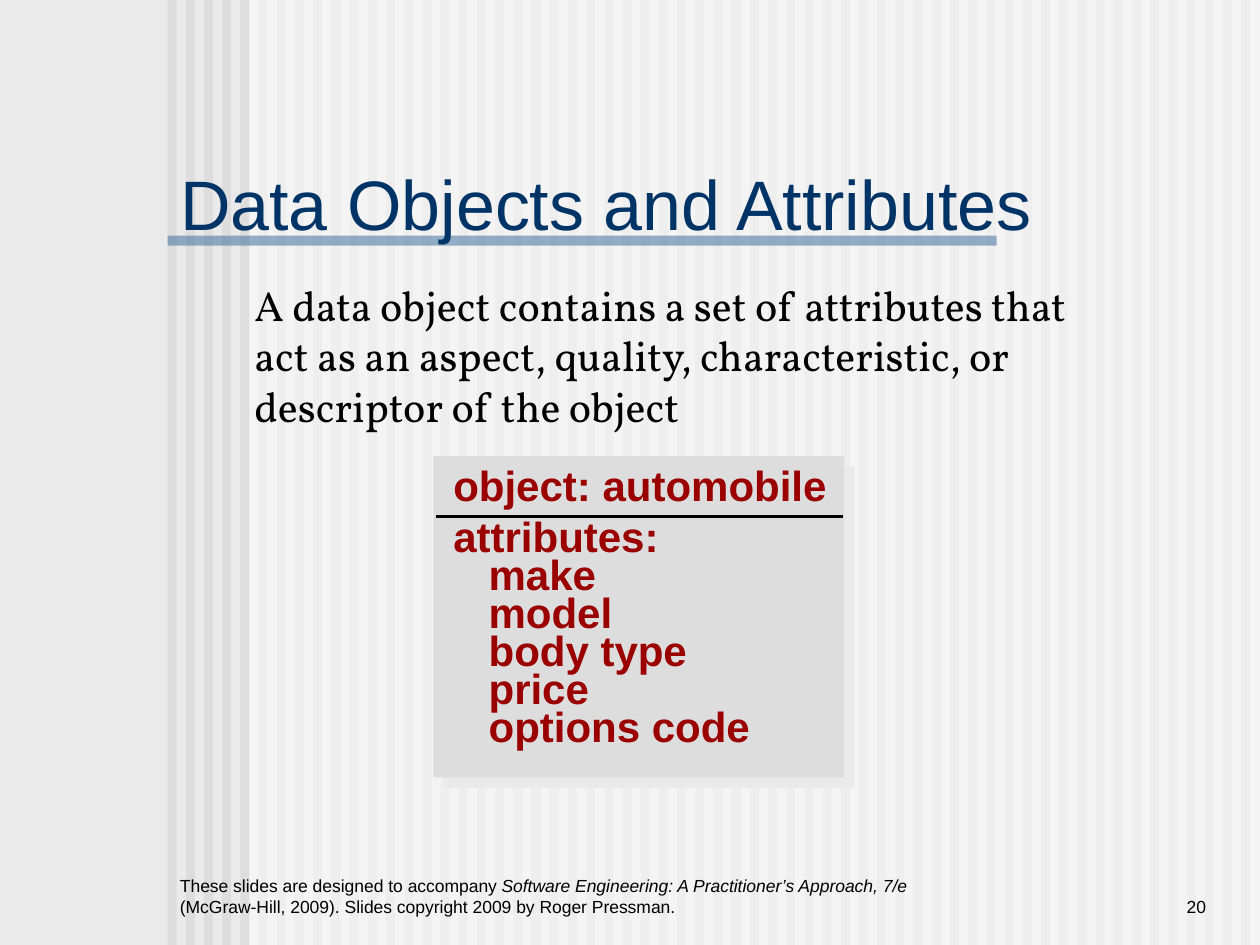
from dataclasses import dataclass

from lxml import etree
from pptx import Presentation
from pptx.dml.color import RGBColor
from pptx.enum.shapes import MSO_CONNECTOR, MSO_SHAPE
from pptx.enum.text import MSO_ANCHOR, MSO_AUTO_SIZE, PP_ALIGN
from pptx.oxml import parse_xml
from pptx.oxml.ns import nsdecls, qn
from pptx.util import Inches, Pt


@dataclass(frozen=True)
class Theme:
    background: str = "EAEAEA"
    stripe: str = "DDDDDD"
    veil: str = "FFFFFF"
    rule: str = "336699"
    title: str = "003366"
    text: str = "000000"
    accent: str = "9A0000"
    font: str = "Arial"
    body_font: str = "Vollkorn"
    title_size: int = 40
    body_size: int = 24
    footer_size: int = 10


THEME = Theme()
TITLE_ONLY = 5


def add_box(slide, left, top, width, height, color, alpha=None):
    """Add a borderless rectangle, optionally see-through (alpha in percent)."""
    shape = slide.shapes.add_shape(
        MSO_SHAPE.RECTANGLE, Inches(left), Inches(top), Inches(width), Inches(height)
    )
    shape.shadow.inherit = False
    shape.line.fill.background()
    shape.fill.solid()
    shape.fill.fore_color.rgb = RGBColor.from_string(color)
    if alpha is not None:
        fill_color = shape._element.spPr.find(qn("a:solidFill"))[0]
        etree.SubElement(fill_color, qn("a:alpha"), val=str(alpha * 1000))
    return shape


def add_run(paragraph, text, size, color, font=THEME.font, bold=False, italic=False):
    run = paragraph.add_run()
    run.text = text
    run.font.name = font
    run.font.size = Pt(size)
    run.font.bold = bold
    run.font.italic = italic
    run.font.color.rgb = RGBColor.from_string(color)


def add_text_frame(slide, left, top, width, height, anchor=MSO_ANCHOR.TOP, wrap=True):
    text_box = slide.shapes.add_textbox(
        Inches(left), Inches(top), Inches(width), Inches(height)
    )
    frame = text_box.text_frame
    frame.word_wrap = wrap
    frame.vertical_anchor = anchor
    return frame


def add_backdrop(slide, left, top, width, height):
    """Vertical stripes under a half-transparent veil."""
    count, last_offset = 60, 8.52
    pitch = last_offset / (count - 1)
    for index in range(count):
        add_box(slide, left + index * pitch, top, pitch / 2, height, THEME.stripe)
    veil_inset = 0.65
    add_box(slide, left + veil_inset, top, width - veil_inset, height, THEME.veil, 50)


def add_title(slide, left, top, width, height, text):
    # Rule crossing the foot of the title
    add_box(slide, left, top + 0.62, 6.58, 0.08, THEME.rule, 50)

    title = slide.shapes.title
    title.left, title.top = Inches(left), Inches(top)
    title.width, title.height = Inches(width), Inches(height)
    frame = title.text_frame
    frame.auto_size = MSO_AUTO_SIZE.NONE
    frame.vertical_anchor = MSO_ANCHOR.MIDDLE
    paragraph = frame.paragraphs[0]
    paragraph.alignment = PP_ALIGN.LEFT
    add_run(paragraph, text, THEME.title_size, THEME.title)
    # Bring the title in front of the backdrop
    slide.shapes._spTree.append(title._element)


def add_body(slide, left, top, width, height, text):
    frame = add_text_frame(slide, left, top, width, height)
    add_run(frame.paragraphs[0], text, THEME.body_size, THEME.text, THEME.body_font)


def add_object_card(slide, left, top, width, height, name, attributes):
    # Panel with an offset shadow
    panel = add_box(slide, left, top, width, height, THEME.stripe)
    properties = panel._element.spPr
    properties.remove(properties.find(qn("a:effectLst")))
    properties.append(parse_xml(
        f'<a:effectLst {nsdecls("a")}>'
        f'<a:outerShdw dist="{Pt(8.5)}" dir="2700000" algn="ctr" rotWithShape="0">'
        f'<a:srgbClr val="{THEME.background}"/></a:outerShdw></a:effectLst>'
    ))

    # Object name, then its attributes indented below
    frame = add_text_frame(
        slide, left + 0.06, top - 0.02, width - 0.1, height - 0.15, wrap=False
    )
    lines = [f"object: {name}", "attributes:", *attributes]
    for index, line in enumerate(lines):
        paragraph = frame.paragraphs[0] if index == 0 else frame.add_paragraph()
        if line in attributes:
            paragraph.line_spacing = 0.75
            paragraph._p.get_or_add_pPr().set("marL", str(Inches(0.28)))
        add_run(paragraph, line, THEME.body_size, THEME.accent, bold=True)

    # Divider under the object name
    divider_top = Inches(top + 0.48)
    divider = slide.shapes.add_connector(
        MSO_CONNECTOR.STRAIGHT,
        Inches(left + 0.02), divider_top, Inches(left + width - 0.01), divider_top,
    )
    divider.line.color.rgb = RGBColor.from_string(THEME.text)
    divider.line.width = Pt(2)
    etree.SubElement(divider._element.spPr, qn("a:effectLst"))


def add_footer(slide, left, top, width, height, pieces, number):
    credit = add_text_frame(slide, left, top, 6, height, MSO_ANCHOR.BOTTOM)
    for text, italic in pieces:
        add_run(credit.paragraphs[0], text, THEME.footer_size, THEME.text, italic=italic)

    number_width = 1.42
    page = add_text_frame(
        slide, left + width - number_width, top, number_width, height, MSO_ANCHOR.BOTTOM
    )
    page.paragraphs[0].alignment = PP_ALIGN.RIGHT
    add_run(page.paragraphs[0], number, THEME.footer_size, THEME.text)


def main():
    presentation = Presentation()
    presentation.slide_width, presentation.slide_height = Inches(10), Inches(7.5)
    slide = presentation.slides.add_slide(presentation.slide_layouts[TITLE_ONLY])
    slide.background.fill.solid()
    slide.background.fill.fore_color.rgb = RGBColor.from_string(THEME.background)

    add_backdrop(slide, 1.33, 0, 8.67, 7.5)
    add_title(slide, 1.33, 1.25, 7.08, 0.72, "Data Objects and Attributes")
    add_body(
        slide, 1.92, 2.17, 6.93, 1.3,
        "A data object contains a set of attributes that act as an aspect, "
        "quality, characteristic, or descriptor of the object",
    )
    add_object_card(
        slide, 3.44, 3.62, 3.26, 2.55, "automobile",
        ["make", "model", "body type", "price", "options code"],
    )
    add_footer(
        slide, 1.33, 6.83, 8.34, 0.5,
        [
            ("These slides are designed to accompany ", False),
            ("Software Engineering: A Practitioner’s Approach, 7/e ", True),
            ("(McGraw-Hill, 2009). Slides copyright 2009 by Roger Pressman.", False),
        ],
        "20",
    )
    presentation.save("out.pptx")


if __name__ == "__main__":
    main()
